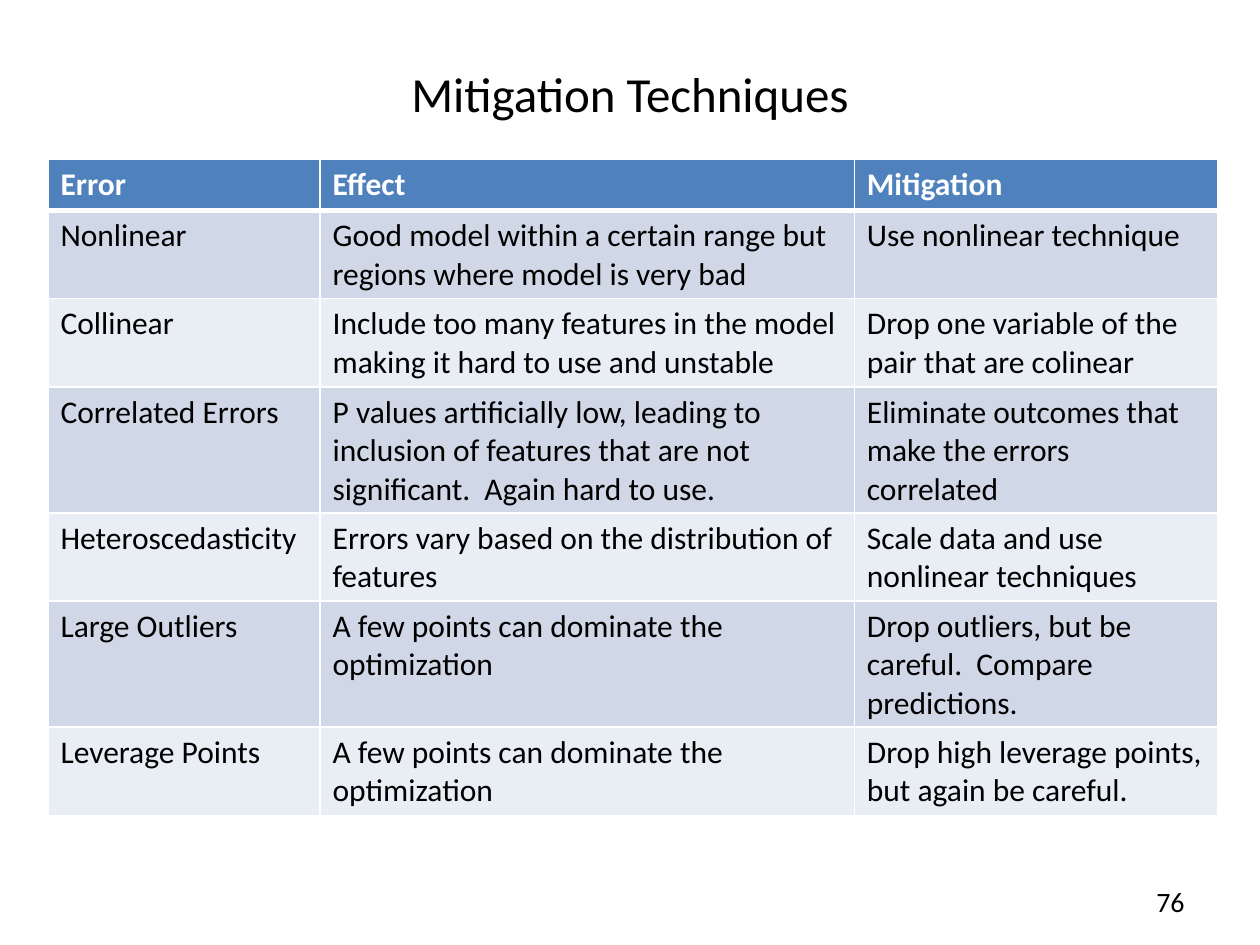
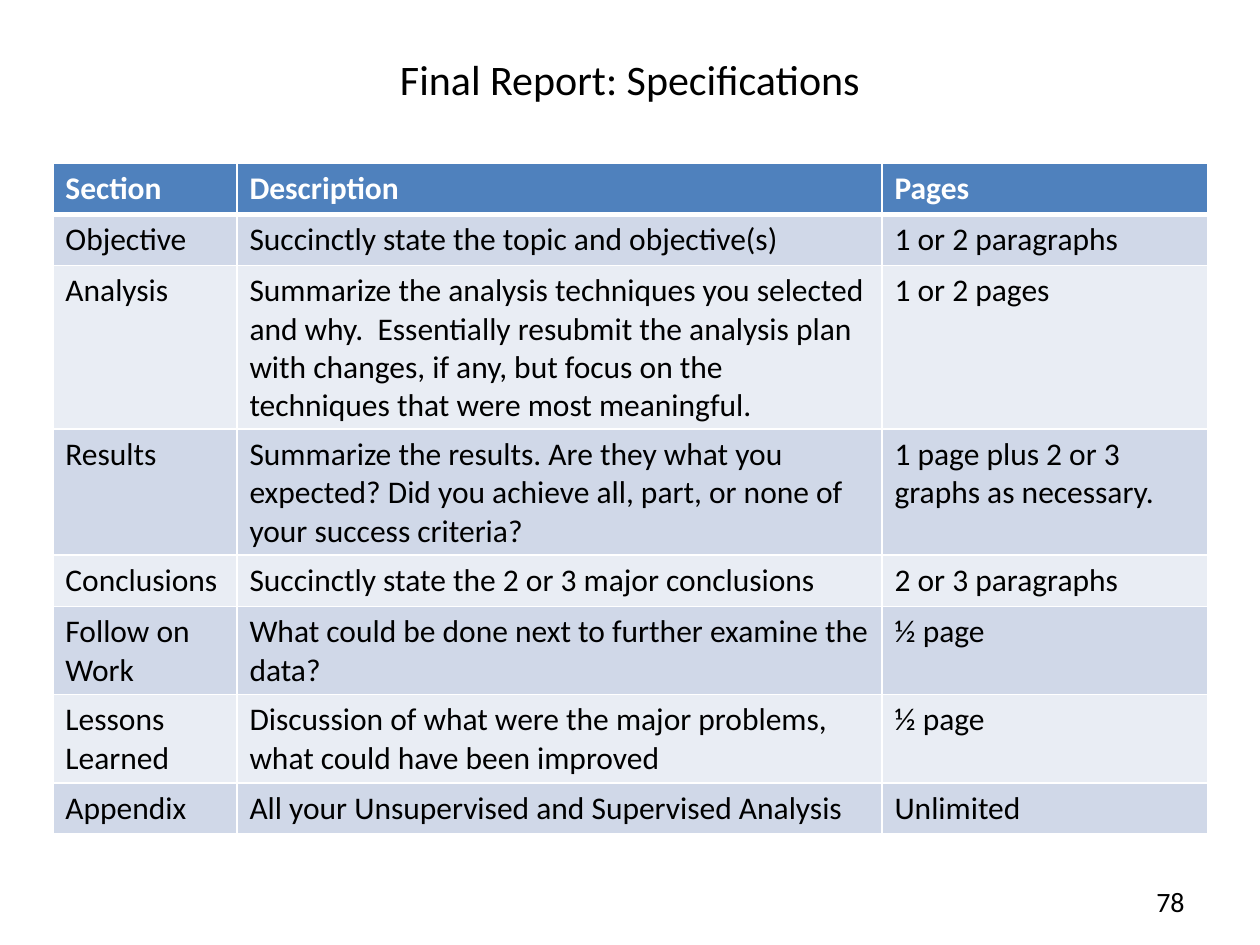
from lxml import etree
from pptx import Presentation
from pptx import util as u
from pptx.dml.color import RGBColor
from pptx.enum import text
from pptx.oxml import ns

COLORS = {"ink": "000000", "paper": "FFFFFF", "header": "4F81BD",
          "odd": "D0D8E8", "even": "E9EDF4"}
FONT = "Calibri"
ROW_HEIGHT = 29.2

SLIDES = [
    {"title": "Mitigation Techniques", "title_size": 28, "title_top": 21.6, "title_height": 62.6,
     "number": "76", "left": 27.4, "top": 91, "columns": [155.5, 305.3, 207.6],
     "rows": [
         ("Error", "Effect", "Mitigation"),
         ("Nonlinear",
          "Good model within a certain range but regions where model is very bad",
          "Use nonlinear technique"),
         ("Collinear",
          "Include too many features in the model making it hard to use and unstable",
          "Drop one variable of the pair that are colinear"),
         ("Correlated Errors",
          "P values artificially low, leading to inclusion of features that are not "
          "significant.  Again hard to use.",
          "Eliminate outcomes that make the errors correlated"),
         ("Heteroscedasticity",
          "Errors vary based on the distribution of features",
          "Scale data and use nonlinear techniques"),
         ("Large Outliers",
          "A few points can dominate the optimization",
          "Drop outliers, but be careful.  Compare predictions."),
         ("Leverage Points",
          "A few points can dominate the optimization",
          "Drop high leverage points, but again be careful."),
     ]},
    {"title": "Final Report: Specifications", "title_size": 24, "title_top": 0, "title_height": 90,
     "number": "78", "left": 30.2, "top": 93.2, "columns": [105.2, 368.6, 185.9],
     "rows": [
         ("Section", "Description", "Pages"),
         ("Objective", "Succinctly state the topic and objective(s)", "1 or 2 paragraphs"),
         ("Analysis",
          "Summarize the analysis techniques you selected and why.  Essentially resubmit "
          "the analysis plan with changes, if any, but focus on the techniques that were "
          "most meaningful.",
          "1 or 2 pages"),
         ("Results",
          "Summarize the results. Are they what you expected? Did you achieve all, part, "
          "or none of your success criteria?",
          "1 page plus 2 or 3 graphs as necessary."),
         ("Conclusions", "Succinctly state the 2 or 3 major conclusions", "2 or 3 paragraphs"),
         ("Follow on Work", "What could be done next to further examine the data?", "½ page"),
         ("Lessons Learned",
          "Discussion of what were the major problems, what could have been improved",
          "½ page"),
         ("Appendix", "All your Unsupervised and Supervised Analysis", "Unlimited"),
     ]},
]


def write(frame, words, color, align, **font_format):
    para = frame.paragraphs[0]
    para.alignment = align
    span = para.add_run()
    span.text = words
    span.font.color.rgb = RGBColor.from_string(COLORS[color])
    for name, value in {"name": FONT, **font_format}.items():
        setattr(span.font, name, value)


def add_borders(cell, widths):
    properties = cell._tc.get_or_add_tcPr()
    for position, (side, width) in enumerate(widths.items()):
        line = etree.Element(ns.qn(f"a:ln{side}"), w=str(u.Pt(width)))
        fill = etree.SubElement(line, ns.qn("a:solidFill"))
        etree.SubElement(fill, ns.qn("a:srgbClr"), val=COLORS["paper"])
        properties.insert(position, line)


deck = Presentation()
deck.slide_width, deck.slide_height = u.Pt(720), u.Pt(540)

for content in SLIDES:
    page = deck.slides.add_slide(deck.slide_layouts[6])
    labels = [
        (content["title"], content["title_size"], text.PP_ALIGN.CENTER,
         (36, content["title_top"], 648, content["title_height"])),
        (content["number"], 16, text.PP_ALIGN.RIGHT, (516, 500.5, 168, 28.8)),
    ]
    for words, size, align, area in labels:
        box = page.shapes.add_textbox(*map(u.Pt, area))
        box.text_frame.word_wrap = True
        box.text_frame.vertical_anchor = text.MSO_ANCHOR.MIDDLE
        write(box.text_frame, words, "ink", align, size=u.Pt(size))

    rows, columns = content["rows"], content["columns"]
    area = (content["left"], content["top"], sum(columns), ROW_HEIGHT * len(rows))
    table = page.shapes.add_table(len(rows), len(columns), *map(u.Pt, area)).table
    for column, width in zip(table.columns, columns):
        column.width = u.Pt(width)
    for r, row in enumerate(rows):
        table.rows[r].height = u.Pt(ROW_HEIGHT)
        band = "header" if r == 0 else "odd" if r % 2 else "even"
        for c, words in enumerate(row):
            cell = table.cell(r, c)
            cell.fill.solid()
            cell.fill.fore_color.rgb = RGBColor.from_string(COLORS[band])
            add_borders(cell, {"L": 1, "R": 1, "T": 3 if r == 1 else 1, "B": 3 if r == 0 else 1})
            write(cell.text_frame, words, "ink" if r else "paper", text.PP_ALIGN.LEFT,
                  size=u.Pt(18), bold=r == 0)

deck.save("out.pptx")
